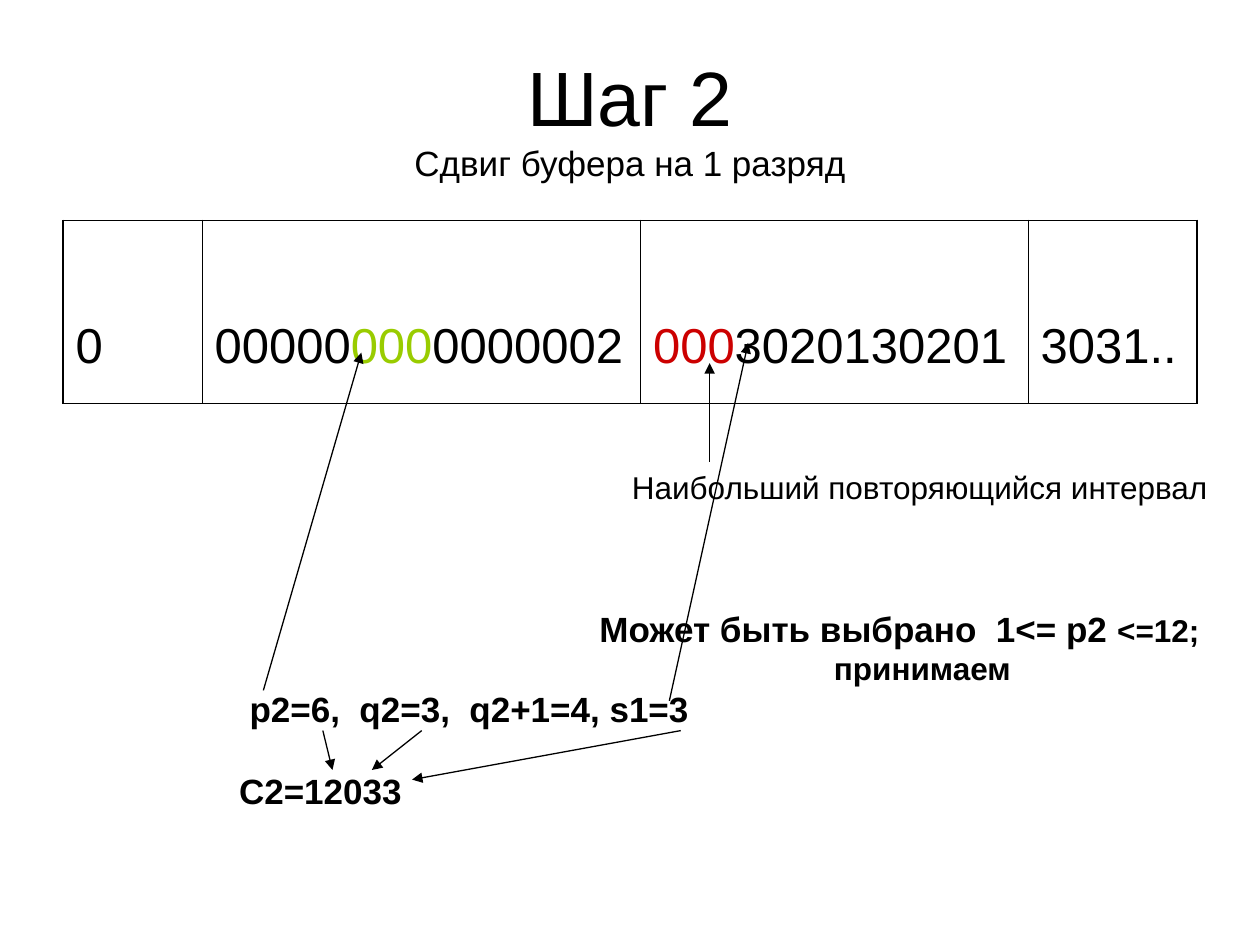
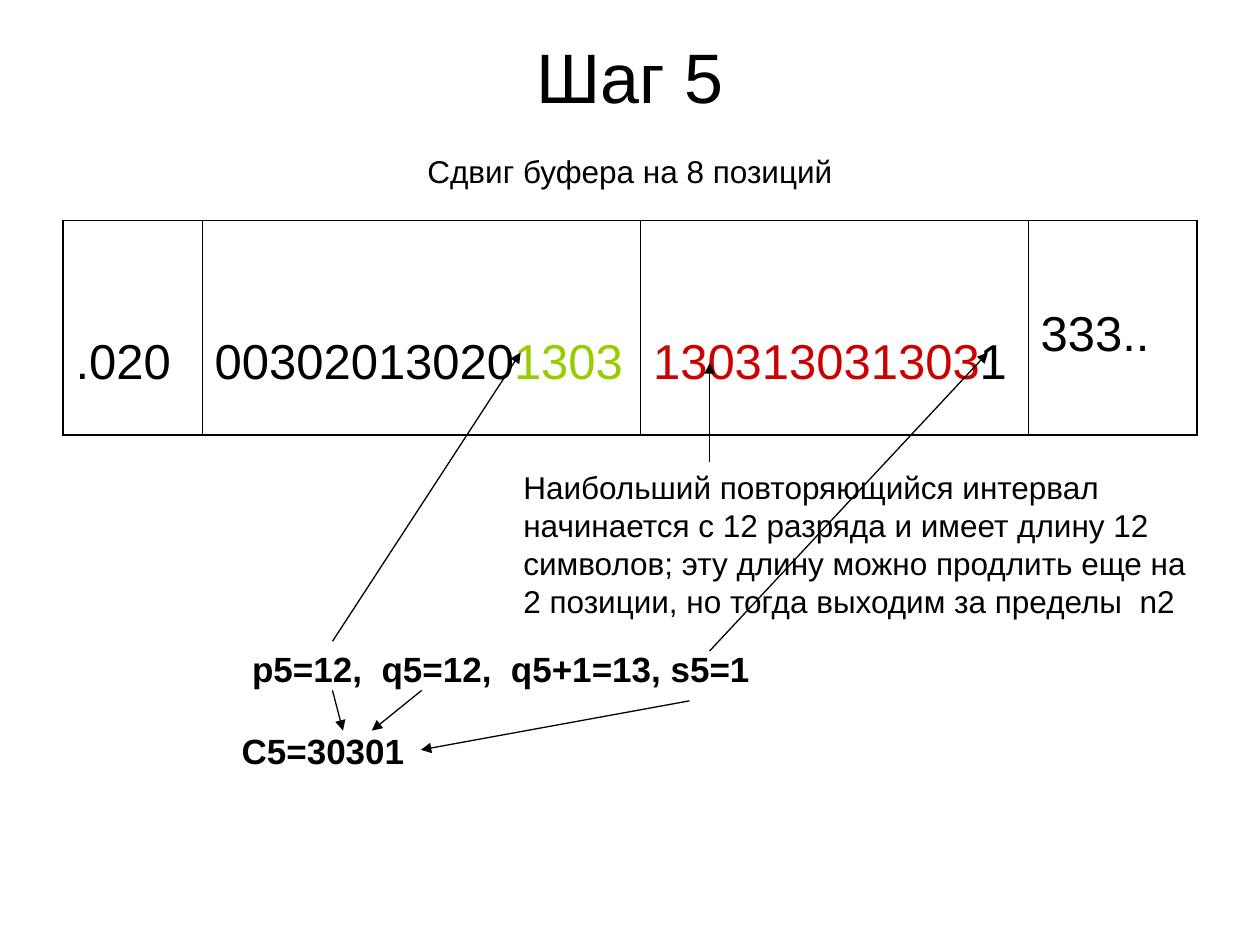
from lxml.etree import SubElement
from pptx import Presentation
from pptx.dml.color import RGBColor
from pptx.enum.shapes import MSO_CONNECTOR
from pptx.enum.text import MSO_ANCHOR, PP_ALIGN
from pptx.oxml import parse_xml
from pptx.oxml.ns import nsdecls, qn
from pptx.util import Pt

BLACK = RGBColor(0, 0, 0)
GREEN = RGBColor(0x99, 0xCC, 0)
RED = RGBColor(0xCC, 0, 0)
FONT = "Arial"

COLUMN_WIDTHS = [79.5, 250.5, 221.5, 96.5]
TABLE_LEFT, TABLE_TOP = 36, 126
DIGIT_SIZE = 28
OUTER_BORDER, INNER_BORDER = 1.08, 0.45
ARROW_WIDTH = 0.75
LOW, MIDDLE = 45, 13  # top margins that place the digits in a cell


def write_runs(paragraph, pieces, bold=False):
    """Fill a paragraph with (text, size, colour) pieces."""
    for text, size, colour in pieces:
        run = paragraph.add_run()
        run.text = text
        run.font.name = FONT
        run.font.size = Pt(size)
        run.font.bold = bold
        run.font.color.rgb = colour


def add_text_box(slide, box, lines, bold=False):
    """Add a text box of (indent, space before, pieces) lines; return its frame."""
    frame = slide.shapes.add_textbox(*[Pt(length) for length in box]).text_frame
    frame.word_wrap = True
    for number, (indent, space, pieces) in enumerate(lines):
        paragraph = frame.add_paragraph() if number else frame.paragraphs[0]
        write_runs(paragraph, pieces, bold)
        if space:
            paragraph.space_before = Pt(space)
        if indent:
            paragraph._p.get_or_add_pPr().set("marL", str(Pt(indent)))
    return frame


STEPS = [
    {
        "title_box": (36, 21.5, 648, 90),
        "title": [(0, 0, [("Шаг 2", 44, BLACK)]),
                  (0, 0, [("Сдвиг буфера на 1 разряд", 20, BLACK)])],
        "row_height": 104.5,
        "cells": [
            (LOW, [("0", BLACK)]),
            (LOW, [("00000", BLACK), ("000", GREEN), ("0000002", BLACK)]),
            (LOW, [("000", RED), ("3020130201", BLACK)]),
            (LOW, [("3031..", BLACK)]),
        ],
        "formula_box": (129.5, 343.5, 569, 149),
        "formulas": [
            (206, 0, [("Может быть выбрано  1<= р2 ", 20, BLACK), ("<=12;", 18, BLACK)]),
            (340, 0, [("принимаем", 18, BLACK)]),
            (6, 0, [("p2=6,  q2=3,  q2+1=4, s1=3", 20, BLACK)]),
            (0, 23, [("C2=12033", 20, BLACK)]),
        ],
        "note_box": (354, 264, 347, 29),
        "note": [(0, 0, [("Наибольший повторяющийся интервал", 18, BLACK)])],
        "arrows": [
            (405.5, 264, 405.5, 207.5),
            (150.5, 394.5, 206.5, 201.5),
            (382.5, 400.5, 427.5, 196),
            (184.5, 417.5, 190, 440),
            (241, 417.5, 212.5, 440),
            (389, 417.5, 235.5, 445.5),
        ],
    },
    {
        "title_box": (36, 15, 648, 97.5),
        "title": [(0, 0, [("Шаг 5", 40, BLACK)]),
                  (0, 20, [("Сдвиг буфера на 8 позиций", 18, BLACK)])],
        "row_height": 122.5,
        "cells": [
            (LOW, [(".020", BLACK)]),
            (LOW, [("00302013020", BLACK), ("1303", GREEN)]),
            (LOW, [("130313031303", RED), ("1", BLACK)]),
            (MIDDLE, [("333..", BLACK)]),
        ],
        "formula_box": (131, 366.5, 305, 104.5),
        "formulas": [
            (6, 0, [("p5=12,  q5=12,  q5+1=13, s5=1", 20, BLACK)]),
            (0, 23, [("C5=30301", 20, BLACK)]),
        ],
        "note_box": (292, 264, 407.5, 93.5),
        "note": [
            (0, 0, [("Наибольший повторяющийся интервал", 18, BLACK)]),
            (0, 0, [("начинается с 12 разряда и имеет длину 12 символов; эту длину "
                     "можно продлить еще на 2 позиции, но тогда выходим за "
                     "пределы  n2", 18, BLACK)]),
        ],
        "arrows": [
            (405.5, 264, 405.5, 207.5),
            (190, 366.5, 297.5, 201.5),
            (405.5, 372, 564.5, 201.5),
            (190, 394.5, 196, 417.5),
            (241, 394.5, 212.5, 417.5),
            (394, 400.5, 240.5, 428.5),
        ],
    },
]

presentation = Presentation()
presentation.slide_width = Pt(720)
presentation.slide_height = Pt(540)

for step in STEPS:
    slide = presentation.slides.add_slide(presentation.slide_layouts[6])

    # Title with the buffer shift below it
    title_frame = add_text_box(slide, step["title_box"], step["title"])
    title_frame.vertical_anchor = MSO_ANCHOR.MIDDLE
    for paragraph in title_frame.paragraphs:
        paragraph.alignment = PP_ALIGN.CENTER

    # Buffer contents
    table = slide.shapes.add_table(
        1, len(COLUMN_WIDTHS), Pt(TABLE_LEFT), Pt(TABLE_TOP),
        Pt(sum(COLUMN_WIDTHS)), Pt(step["row_height"])).table
    table.first_row = False
    table.horz_banding = False
    last = len(COLUMN_WIDTHS) - 1
    for index, (top_margin, digits) in enumerate(step["cells"]):
        table.columns[index].width = Pt(COLUMN_WIDTHS[index])
        cell = table.cell(0, index)
        cell.fill.background()
        cell.vertical_anchor = MSO_ANCHOR.MIDDLE
        cell.margin_top = Pt(top_margin)
        paragraph = cell.text_frame.paragraphs[0]
        paragraph.line_spacing = 0.93
        write_runs(paragraph, [(text, DIGIT_SIZE, colour) for text, colour in digits])
        borders = {
            "lnL": INNER_BORDER if index else OUTER_BORDER,
            "lnR": INNER_BORDER if index < last else OUTER_BORDER,
            "lnT": OUTER_BORDER,
            "lnB": OUTER_BORDER,
        }
        for position, (side, width) in enumerate(borders.items()):
            border = parse_xml(
                f'<a:{side} {nsdecls("a")} w="{Pt(width)}"><a:solidFill>'
                f'<a:srgbClr val="{BLACK}"/></a:solidFill></a:{side}>')
            cell._tc.get_or_add_tcPr().insert(position, border)

    # Code formulas and the explanation
    add_text_box(slide, step["formula_box"], step["formulas"], bold=True)
    add_text_box(slide, step["note_box"], step["note"])

    # Arrows
    for ends in step["arrows"]:
        arrow = slide.shapes.add_connector(
            MSO_CONNECTOR.STRAIGHT, *[Pt(length) for length in ends])
        arrow.line.color.rgb = BLACK
        arrow.line.width = Pt(ARROW_WIDTH)
        SubElement(arrow.line._get_or_add_ln(), qn("a:tailEnd"), type="triangle")
        SubElement(arrow._element.spPr, qn("a:effectLst"))

presentation.save("out.pptx")
